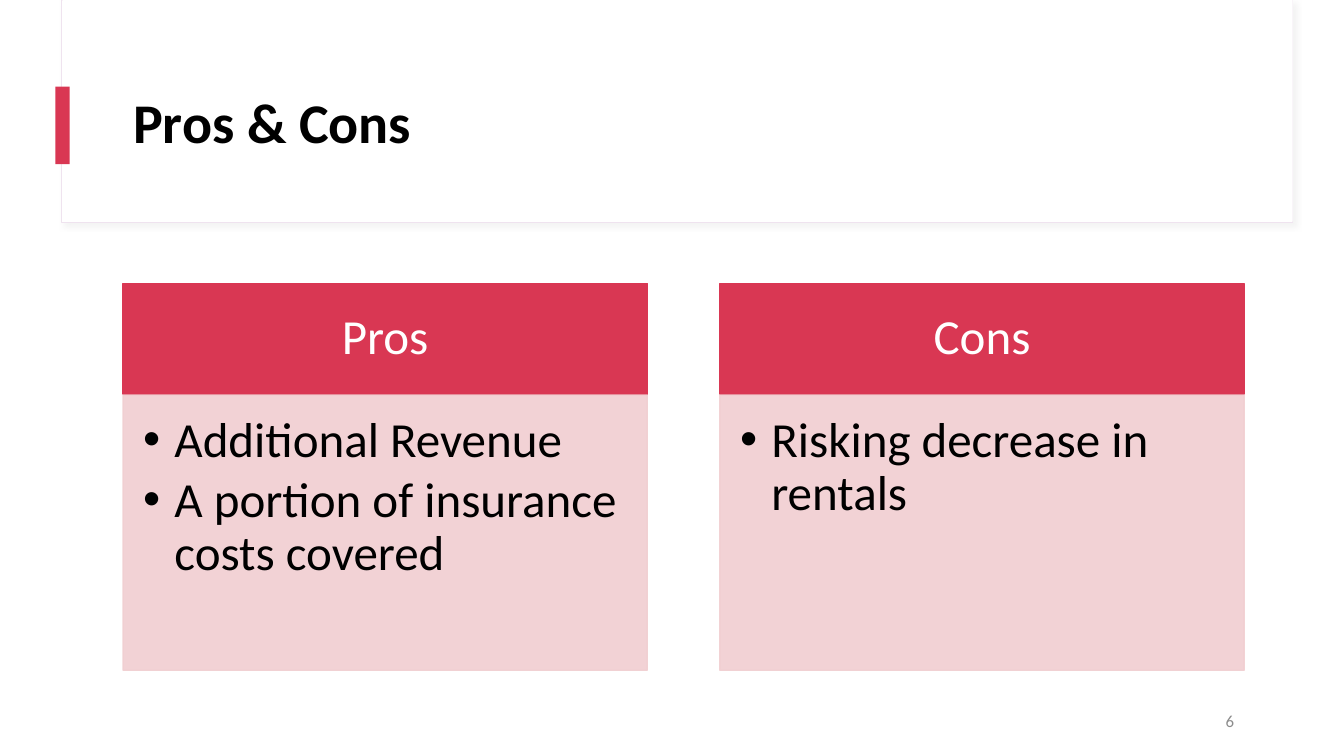
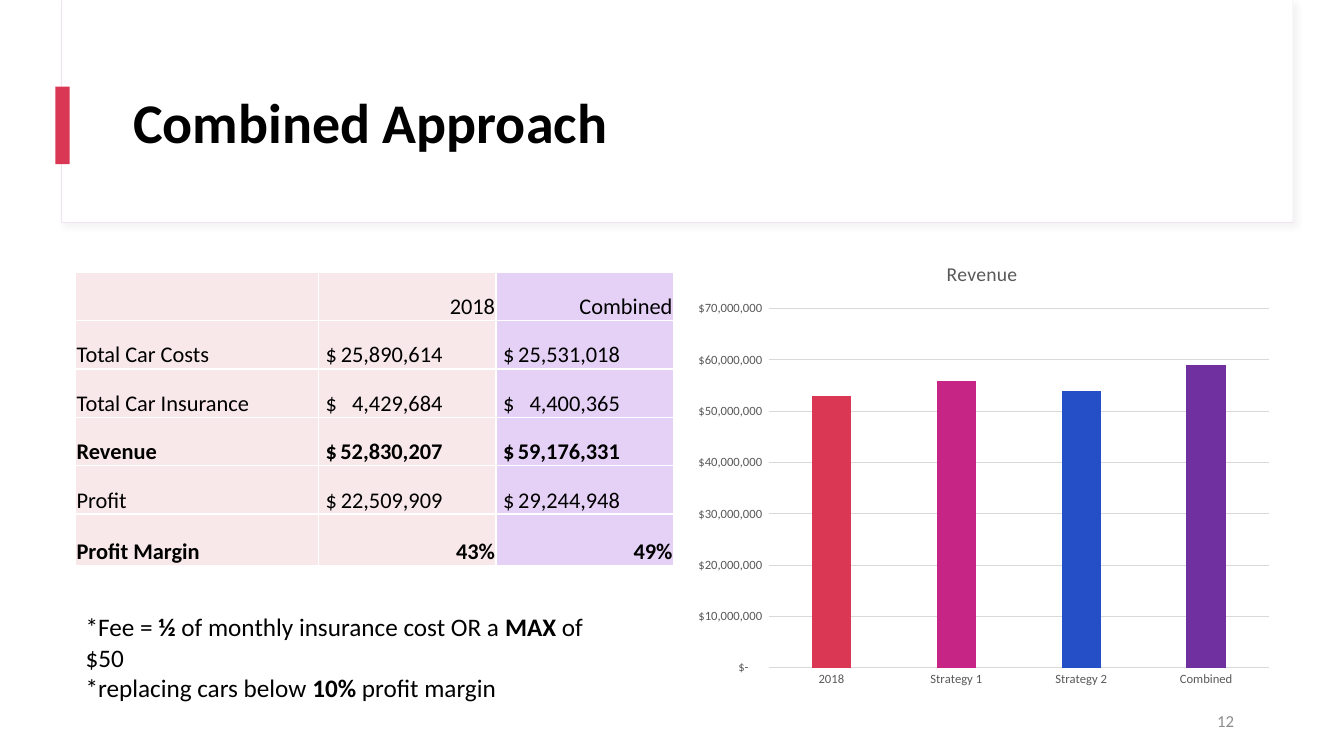
from dataclasses import dataclass
from typing import Any, NamedTuple

from lxml.etree import SubElement
from pptx import Presentation
from pptx.chart.data import CategoryChartData
from pptx.dml.color import RGBColor as Rgb
from pptx.enum.chart import XL_CHART_TYPE as ChartType, XL_TICK_MARK as TickMark
from pptx.enum.shapes import MSO_SHAPE as Preset
from pptx.enum.text import MSO_ANCHOR as Anchor, MSO_AUTO_SIZE as AutoSize, PP_ALIGN as Align
from pptx.oxml.ns import qn
from pptx.slide import Slide
from pptx.util import Inches, Pt


@dataclass(frozen=True)
class Theme:
    font: str = "Calibri"
    black: Rgb = Rgb.from_string("000000")
    white: Rgb = Rgb.from_string("FFFFFF")
    red: Rgb = Rgb.from_string("D93753")
    magenta: Rgb = Rgb.from_string("C72585")
    blue: Rgb = Rgb.from_string("254FC7")
    purple: Rgb = Rgb.from_string("7030A0")
    rose: Rgb = Rgb.from_string("F1CED1")
    pale_rose: Rgb = Rgb.from_string("F8E8E9")
    lilac: Rgb = Rgb.from_string("E6D1F6")
    frame_edge: Rgb = Rgb.from_string("EFE3EF")
    grid: Rgb = Rgb.from_string("D9D9D9")
    axis_text: Rgb = Rgb.from_string("595959")
    number_text: Rgb = Rgb.from_string("8C8C8C")
    title_size: int = 40
    panel_size: int = 35
    note_size: int = 18
    table_size: int = 16
    chart_title_size: int = 14
    number_size: int = 12
    axis_size: int = 9


class Box(NamedTuple):
    left: float
    top: float
    width: float
    height: float


class Block(NamedTuple):
    box: Box
    fill: Rgb
    edge: Rgb | None = None


class Panel(NamedTuple):
    heading: str
    points: list[str]


class Row(NamedTuple):
    label: str
    values: tuple[str, str]
    bold: bool = False


THEME = Theme()
FRAME = Block(Box(0.61, 0, 12.21, 2.21), THEME.white, THEME.frame_edge)
BAND = [FRAME, Block(Box(0.62, 0, 12.2, 2.2), THEME.white),
        Block(Box(0.55, 0.86, 0.14, 0.77), THEME.red)]
TITLE_BOX = Box(1.22, 0.6, 11.12, 1.29)
NUMBER_BOX = Box(9.34, 6.95, 3, 0.4)

PANELS = [
    Panel("Pros", ["Additional Revenue", "A portion of insurance costs covered"]),
    Panel("Cons", ["Risking decrease in rentals"]),
]
PANEL_STEP = 5.92
HEADING_BOX = Box(1.22, 2.81, 5.2, 1.1)
POINTS_BOX = Box(1.22, 3.92, 5.2, 2.73)

COSTS = [
    Row("", ("2018", "Combined")),
    Row("Total Car Costs", ("$\t25,890,614", "$\t25,531,018")),
    Row("Total Car Insurance", ("$\t4,429,684", "$\t4,400,365")),
    Row("Revenue", ("$\t52,830,207", "$\t59,176,331"), True),
    Row("Profit", ("$\t22,509,909", "$\t29,244,948")),
    Row("Profit Margin", ("43%", "49%"), True),
]
COST_WIDTHS = [2.41, 1.76, 1.76]
COST_HEIGHTS = [0.48] * 5 + [0.51]
COST_FILLS = [THEME.pale_rose, THEME.pale_rose, THEME.lilac]

# Each note line alternates plain and bold pieces
NOTES = [
    ["*Fee = ", "½", " of monthly insurance cost OR a ", "MAX", " of $50"],
    ["*replacing cars below ", "10%", " profit margin"],
]
REVENUE = {
    "2018": (53_000_000, THEME.red),
    "Strategy 1": (56_000_000, THEME.magenta),
    "Strategy 2": (54_000_000, THEME.blue),
    "Combined": (59_000_000, THEME.purple),
}
DOLLARS = r'_("$"* #,##0_);_("$"* \(#,##0\);_("$"* "-"??_);_(@_)'


# Shared helpers
def apply(target: Any, formats: dict[str, Any]) -> None:
    for attribute, value in formats.items():
        setattr(target, attribute, value)


def place(shape: Any, box: Box) -> None:
    apply(shape, {side: Inches(size) for side, size in box._asdict().items()})


def set_font(font: Any, size: int, color: Rgb, bold: bool = False) -> None:
    apply(font, {"name": THEME.font, "size": Pt(size), "bold": bold})
    font.color.rgb = color


def set_margins(target: Any, left: float, top: float, right: float, bottom: float) -> None:
    apply(target, {"margin_left": Inches(left), "margin_top": Inches(top),
                   "margin_right": Inches(right), "margin_bottom": Inches(bottom)})


def paint(shape: Any, fill: Rgb, edge: Rgb | None, width: float = 1) -> None:
    shape.fill.solid()
    shape.fill.fore_color.rgb = fill
    if edge is None:
        shape.line.fill.background()
    else:
        shape.line.color.rgb = edge
        shape.line.width = Pt(width)


def write_lines(shape: Any, lines: list[str], size: int, color: Rgb, anchor: Anchor,
                bold: bool = False, **paragraph_formats: Any) -> None:
    frame = shape.text_frame
    frame.text = "\n".join(lines)
    apply(frame, {"word_wrap": True, "auto_size": AutoSize.NONE, "vertical_anchor": anchor})
    for paragraph in frame.paragraphs:
        apply(paragraph, {"space_before": Pt(0)} | paragraph_formats)
        set_font(paragraph.runs[0].font, size, color, bold)


def move_band_to_master(slide: Slide) -> None:
    master_tree = slide.slide_layout.slide_master.element.cSld.spTree
    for position, block in enumerate(BAND, start=2):
        shape = slide.shapes.add_shape(Preset.RECTANGLE, *map(Inches, block.box))
        shape.shadow.inherit = False
        paint(shape, block.fill, block.edge, 0.75)
        if block is FRAME:
            effects = shape.element.spPr.find(qn("a:effectLst"))
            shadow = SubElement(effects, qn("a:outerShdw"), blurRad=str(Pt(4)),
                                dist=str(Pt(3)), dir="2700000", rotWithShape="0")
            tint = SubElement(shadow, qn("a:srgbClr"), val=str(THEME.grid))
            SubElement(tint, qn("a:alpha"), val="30000")
        master_tree.insert(position, shape.element)


def add_title_and_number(slide: Slide, title: str, number: str) -> None:
    place(slide.shapes.title, TITLE_BOX)
    write_lines(slide.shapes.title, [title], THEME.title_size, THEME.black, Anchor.MIDDLE,
                bold=True, alignment=Align.LEFT, line_spacing=0.9)
    page_number = slide.shapes.add_textbox(*map(Inches, NUMBER_BOX))
    write_lines(page_number, [number], THEME.number_size, THEME.number_text,
                Anchor.MIDDLE, alignment=Align.RIGHT)


# Pros and cons panels
def fill_panel(heading: Any, points: Any, panel: Panel, shift: float) -> None:
    place(heading, HEADING_BOX._replace(left=HEADING_BOX.left + shift))
    paint(heading, THEME.red, THEME.red)
    set_margins(heading.text_frame, 0.27, 0.16, 0.27, 0.16)
    write_lines(heading, [panel.heading], THEME.panel_size, THEME.white, Anchor.MIDDLE,
                alignment=Align.CENTER, line_spacing=0.9)

    place(points, POINTS_BOX._replace(left=POINTS_BOX.left + shift))
    paint(points, THEME.rose, THEME.rose)
    for tint in points.element.spPr.iter(qn("a:srgbClr")):
        SubElement(tint, qn("a:alpha"), val="90000")
    set_margins(points.text_frame, 0.2, 0.2, 0.27, 0.31)
    write_lines(points, panel.points, THEME.panel_size, THEME.black, Anchor.TOP,
                line_spacing=0.9, space_after=Pt(5))
    for paragraph in points.text_frame.paragraphs:
        properties = paragraph._p.get_or_add_pPr()
        properties.set("marL", str(Inches(0.31)))
        properties.set("indent", str(Inches(-0.31)))
        SubElement(properties, qn("a:buChar"), char="•")


# Cost table
def add_borders(cell: Any) -> None:
    properties = cell._tc.get_or_add_tcPr()
    for position, side in enumerate(("lnL", "lnR", "lnT", "lnB")):
        border = SubElement(properties, qn(f"a:{side}"), w=str(Pt(1)))
        SubElement(SubElement(border, qn("a:solidFill")), qn("a:srgbClr"), val=str(THEME.white))
        properties.insert(position, border)


def write_cost(cell: Any, text: str, is_label: bool, bold: bool) -> None:
    is_amount = text.startswith("$")
    set_margins(cell, 0.07 if is_amount else 0.01, 0.01, 0.01, 0)
    cell.vertical_anchor = Anchor.BOTTOM
    cell.text = text
    paragraph = cell.text_frame.paragraphs[0]
    paragraph.alignment = Align.LEFT if is_label or is_amount else Align.RIGHT
    set_font(paragraph.font, THEME.table_size, THEME.black, bold)
    for run in paragraph.runs:
        set_font(run.font, THEME.table_size, THEME.black, bold)
    if is_amount:
        properties = paragraph._p.get_or_add_pPr()
        stops = SubElement(properties, qn("a:tabLst"))
        SubElement(stops, qn("a:tab"), pos=str(Inches(1.16)), algn="r")
        properties.insert(0, stops)


def add_cost_table(slide: Slide, box: Box) -> None:
    table = slide.shapes.add_table(len(COSTS), len(COST_WIDTHS), *map(Inches, box)).table
    apply(table, {"first_row": False, "horz_banding": False})
    for column, width in zip(table.columns, COST_WIDTHS):
        column.width = Inches(width)
    for table_row, height, cost in zip(table.rows, COST_HEIGHTS, COSTS):
        table_row.height = Inches(height)
        texts = (cost.label, *cost.values)
        for index, (cell, text, fill) in enumerate(zip(table_row.cells, texts, COST_FILLS)):
            cell.fill.solid()
            cell.fill.fore_color.rgb = fill
            write_cost(cell, text, index == 0, cost.bold)
            add_borders(cell)


def add_notes_below_table(slide: Slide, box: Box) -> None:
    frame = slide.shapes.add_textbox(*map(Inches, box)).text_frame
    frame.word_wrap = True
    for index, pieces in enumerate(NOTES):
        paragraph = frame.add_paragraph() if index else frame.paragraphs[0]
        for order, piece in enumerate(pieces):
            run = paragraph.add_run()
            run.text = piece
            set_font(run.font, THEME.note_size, THEME.black, bold=order % 2 == 1)


# Revenue chart
def add_revenue_chart(slide: Slide, box: Box) -> None:
    revenue = CategoryChartData(number_format=DOLLARS)
    revenue.categories = list(REVENUE)
    revenue.add_series("Revenue", [amount for amount, _ in REVENUE.values()])
    chart = slide.shapes.add_chart(ChartType.COLUMN_CLUSTERED, *map(Inches, box), revenue).chart
    set_font(chart.font, THEME.axis_size, THEME.axis_text)
    apply(chart, {"has_legend": False, "has_title": True})
    heading = chart.chart_title.text_frame
    heading.text = "Revenue"
    set_font(heading.paragraphs[0].runs[0].font, THEME.chart_title_size, THEME.axis_text)
    chart.chart_title.include_in_layout = False

    plot = chart.plots[0]
    apply(plot, {"gap_width": 219, "overlap": -27, "vary_by_categories": False})
    for index, (_, color) in enumerate(REVENUE.values()):
        bar = plot.series[0].points[index].format.fill
        bar.solid()
        bar.fore_color.rgb = color

    for axis in (chart.category_axis, chart.value_axis):
        apply(axis, {"major_tick_mark": TickMark.NONE, "minor_tick_mark": TickMark.NONE})
        set_font(axis.tick_labels.font, THEME.axis_size, THEME.axis_text)
    dollars = chart.value_axis
    apply(dollars, {"minimum_scale": 0, "maximum_scale": 70_000_000, "major_unit": 10_000_000})
    apply(dollars.tick_labels, {"number_format": DOLLARS, "number_format_is_linked": False})
    dollars.format.line.fill.background()
    for line in (chart.category_axis.format.line, dollars.major_gridlines.format.line):
        line.color.rgb = THEME.grid
        line.width = Pt(0.75)


def main() -> None:
    deck = Presentation()
    apply(deck, {"slide_width": Inches(13.33), "slide_height": Inches(7.5)})
    comparison = deck.slide_layouts.get_by_name("Comparison")
    title_only = deck.slide_layouts.get_by_name("Title Only")

    pros_cons = deck.slides.add_slide(comparison)
    move_band_to_master(pros_cons)
    add_title_and_number(pros_cons, "Pros & Cons", "6")
    for index, panel in enumerate(PANELS):
        heading, points = (pros_cons.placeholders[2 * index + part] for part in (1, 2))
        fill_panel(heading, points, panel, index * PANEL_STEP)

    combined = deck.slides.add_slide(title_only)
    add_title_and_number(combined, "Combined Approach", "12")
    add_notes_below_table(combined, Box(0.75, 6.02, 5.18, 1.31))
    add_cost_table(combined, Box(0.75, 2.7, 5.93, 2.91))
    add_revenue_chart(combined, Box(6.78, 2.4, 5.92, 4.5))
    deck.save("out.pptx")


if __name__ == "__main__":
    main()
